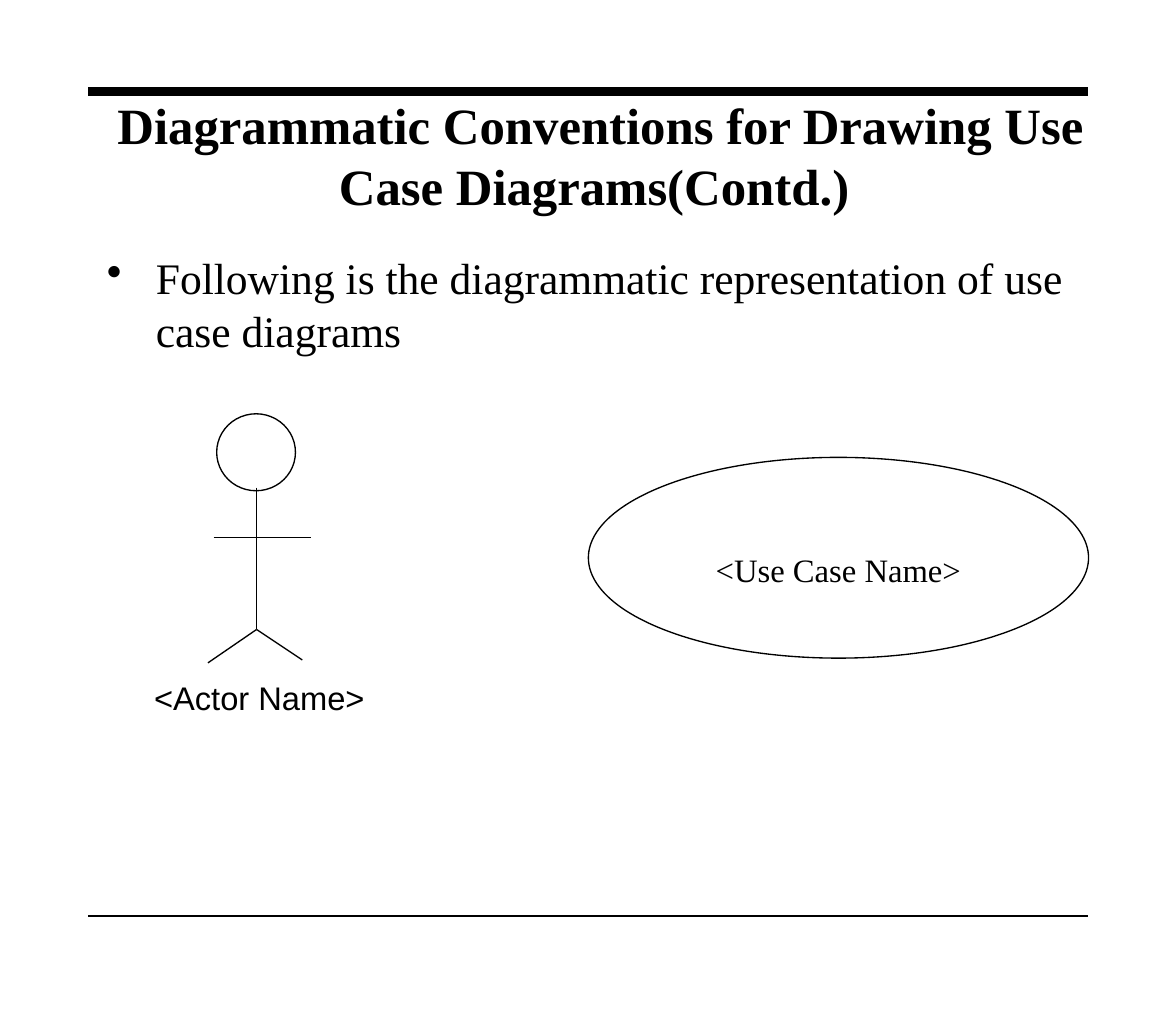
from lxml.etree import SubElement
from pptx import Presentation
from pptx.dml.color import RGBColor
from pptx.enum.shapes import MSO_CONNECTOR, MSO_SHAPE
from pptx.enum.text import MSO_ANCHOR, PP_ALIGN
from pptx.oxml.ns import qn
from pptx.util import Pt

BLACK, WHITE = "000000", "FFFFFF"
SERIF, SANS = "Times New Roman", "Arial"

TITLE = "Diagrammatic Conventions for Drawing Use Case Diagrams(Contd.) "
BULLET = "Following is the diagrammatic representation of use case diagrams"
ACTOR_NAME = "<Actor Name>"
USE_CASE_NAME = "<Use Case Name>"

# Boxes are left, top, width, height in points
TITLE_BOX = (41.8, 49.7, 578, 70.6)
BULLET_BOX = (51.8, 132.5, 551, 72)
HEAD_BOX = (119.4, 228, 43.4, 42.4)
ACTOR_NAME_BOX = (77.8, 370, 157, 67.7)
USE_CASE_BOX = (324.2, 252, 275.6, 110.6)

# Rules: y, weight
RULE_LEFT, RULE_RIGHT = 48.6, 599.4
RULES = [(50.4, 4.5), (504.7, 1)]

# Actor limbs: from and to
NECK, HIP = (141.4, 268.6), (141.4, 346.8)
LIMBS = [
    (NECK, HIP),
    ((117.8, 296.2), (171.4, 296.2)),
    (HIP, (166.6, 363.6)),
    (HIP, (114.6, 365.2)),
]


def color(hex_value):
    return RGBColor.from_string(hex_value)


def place(shape, box):
    shape.left, shape.top, shape.width, shape.height = map(Pt, box)


def add_line(slide, start, end, weight):
    line = slide.shapes.add_connector(
        MSO_CONNECTOR.STRAIGHT, *map(Pt, (*start, *end)))
    line.line.color.rgb = color(BLACK)
    line.line.width = Pt(weight)
    SubElement(line._element.spPr, qn("a:effectLst"))


def add_outline(slide, kind, box, outlined=True):
    shape = slide.shapes.add_shape(kind, *map(Pt, box))
    shape.shadow.inherit = False
    shape.fill.solid()
    shape.fill.fore_color.rgb = color(WHITE)
    if outlined:
        shape.line.color.rgb = color(BLACK)
        shape.line.width = Pt(0.75)
    else:
        shape.line.fill.background()
    return shape


def write(shape, text, size, font=SERIF, bold=False,
          align=PP_ALIGN.LEFT, anchor=MSO_ANCHOR.TOP):
    frame = shape.text_frame
    frame.text = text
    frame.word_wrap = True
    frame.vertical_anchor = anchor
    paragraph = frame.paragraphs[0]
    paragraph.alignment = align
    run_font = paragraph.runs[0].font
    run_font.name, run_font.size, run_font.bold = font, Pt(size), bold
    run_font.color.rgb = color(BLACK)
    return paragraph


def add_bullet(paragraph, indent):
    properties = paragraph._p.get_or_add_pPr()
    properties.set("marL", str(Pt(indent)))
    properties.set("indent", str(-Pt(indent)))
    SubElement(properties, qn("a:buChar"), char="•")


presentation = Presentation()
presentation.slide_width, presentation.slide_height = Pt(648), Pt(568)
slide = presentation.slides.add_slide(presentation.slide_layouts[5])

for y, weight in RULES:
    add_line(slide, (RULE_LEFT, y), (RULE_RIGHT, y), weight)

title = slide.shapes.title
place(title, TITLE_BOX)
write(title, TITLE, 28, bold=True, align=PP_ALIGN.CENTER,
      anchor=MSO_ANCHOR.MIDDLE).line_spacing = 1.0

bullet = slide.shapes.add_textbox(*map(Pt, BULLET_BOX))
add_bullet(write(bullet, BULLET, 24), 27)
bullet.text_frame.margin_top = Pt(6)

add_outline(slide, MSO_SHAPE.OVAL, HEAD_BOX)
for start, end in LIMBS:
    add_line(slide, start, end, 0.75)
actor_name = add_outline(slide, MSO_SHAPE.RECTANGLE, ACTOR_NAME_BOX, outlined=False)
write(actor_name, ACTOR_NAME, 18, SANS)

use_case = add_outline(slide, MSO_SHAPE.OVAL, USE_CASE_BOX)
write(use_case, USE_CASE_NAME, 18, align=PP_ALIGN.CENTER, anchor=MSO_ANCHOR.MIDDLE)
use_case.text_frame.margin_top = Pt(16)

presentation.save("out.pptx")
